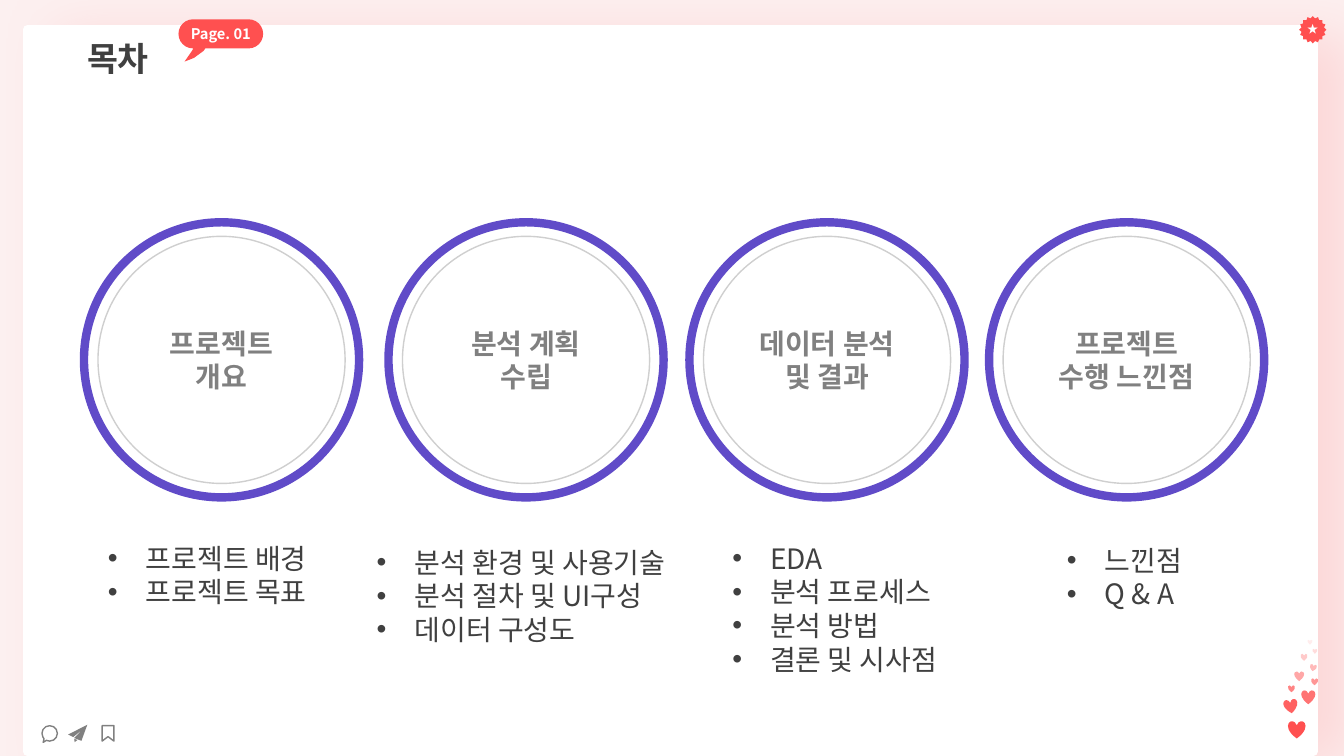
from lxml import etree
from pptx import Presentation
from pptx.dml import color
from pptx.enum import shapes, text
from pptx.oxml import ns
from pptx.util import Pt

RGB = color.RGBColor
BACK = RGB(0xFC, 0xF0, 0xF0)
WHITE = RGB(0xFF, 0xFF, 0xFF)
RED = RGB(0xFF, 0x50, 0x50)
PURPLE = RGB(0x60, 0x4B, 0xC8)
PALE = RGB(0xCF, 0xCF, 0xCF)
GREY = RGB(0x80, 0x80, 0x80)
DARK = RGB(0x40, 0x40, 0x40)
FONT = "Noto Sans CJK KR"
KIND = shapes.MSO_SHAPE
LEFT, MID = text.PP_ALIGN.LEFT, text.PP_ALIGN.CENTER

# Ring left edge, heading lines, list left and top, list width, list items
PARTS = [
    (60, ["프로젝트", "개요"], 70, 383, 170,
     ["프로젝트 배경", "프로젝트 목표"]),
    (277.5, ["분석 계획", "수립"], 262, 386, 245,
     ["분석 환경 및 사용기술", "분석 절차 및 UI구성", "데이터 구성도"]),
    (492.5, ["데이터 분석 및 결과"], 516, 383, 177,
     ["EDA", "분석 프로세스", "분석 방법", "결론 및 시사점"]),
    (706.5, ["프로젝트", "수행 느낀점"], 755, 384.5, 102,
     ["느낀점", "Q & A"]),
]

# Left, top, size, turn; each heart is 10 % fainter than the one before
HEARTS = [
    (40, 800 / 10 - 22, 12.5, 0), (37, 42.5, 10, -8.7), (49.5, 36, 10, 0),
    (40, 32.5, 5, 0), (56.5, 27.5, 5, 0), (44.5, 22.5, 7, 0),
    (55.5, 17.5, 5, 11.5), (49, 10, 5, 0), (57.5, 6.5, 3.5, 0),
    (54, 0, 3.5, 0),
]


def paint(shape, fill=None, line=None, width=1):
    shape.shadow.inherit = False
    if fill is None:
        shape.fill.background()
    else:
        shape.fill.solid()
        shape.fill.fore_color.rgb = fill
    if line is None:
        shape.line.fill.background()
    else:
        shape.line.color.rgb = line
        shape.line.width = Pt(width)
    return shape


def put(slide, kind, box, fill=None, line=None, width=1):
    shape = slide.shapes.add_shape(kind, *map(Pt, box))
    return paint(shape, fill, line, width)


def trace(slide, x, y, points, fill=None, line=None):
    spots = [(Pt(x + dx), Pt(y + dy)) for dx, dy in points]
    form = slide.shapes.build_freeform(*spots[0], scale=1.0)
    form.add_line_segments(spots[1:], close=True)
    return paint(form.convert_to_shape(), fill, line)


def write(frame, lines, size, ink, bold=False, align=MID, wrap=True):
    frame.word_wrap = wrap
    frame.auto_size = text.MSO_AUTO_SIZE.NONE
    for i, line in enumerate(lines):
        para = frame.add_paragraph() if i else frame.paragraphs[0]
        para.alignment = align
        run = para.add_run()
        run.text = line
        font = run.font
        font.size, font.bold, font.name = Pt(size), bold, FONT
        font.color.rgb = ink
        etree.SubElement(run._r.get_or_add_rPr(), ns.qn("a:ea"), typeface=FONT)


def cast(shape):
    glow = etree.SubElement(
        shape.element.spPr.find(ns.qn("a:effectLst")), ns.qn("a:outerShdw"),
        blurRad=str(Pt(40)), dist=str(Pt(24)), dir=str(15 * 60000),
        algn="ctr", rotWithShape="0")
    tint = etree.SubElement(glow, ns.qn("a:srgbClr"), val="FFBBBC")
    etree.SubElement(tint, ns.qn("a:alpha"), val="45000")


def fade(shape, part):
    tint = shape.element.spPr.find(ns.qn("a:solidFill"))[0]
    etree.SubElement(tint, ns.qn("a:alpha"), val=str(part * 1000))


def add_card(slide, x, y, w, h):
    # White sheet with a soft pink shadow
    cast(put(slide, KIND.RECTANGLE, (x, y, w, h), WHITE, WHITE, 6.25))
    put(slide, KIND.RECTANGLE, (x, y + 38, w, h - 64), WHITE, WHITE, 6.25)
    # Title
    title = slide.shapes.title
    title.left, title.top, title.width, title.height = map(
        Pt, (x + 35.5, y, 100, 50))
    frame = title.text_frame
    frame.vertical_anchor = text.MSO_ANCHOR.TOP
    frame.margin_left = frame.margin_right = Pt(7.2)
    frame.margin_top, frame.margin_bottom = Pt(5.8), Pt(3.6)
    write(frame, ["목차"], 24, DARK, True, LEFT)
    slide.shapes.element.append(title.element)


def add_star(slide, x, y, size):
    # Corner badge
    badge = put(slide, KIND.STAR_16_POINT, (x, y, size, size), RED)
    badge.adjustments[0] = 0.42
    frame = badge.text_frame
    frame.margin_top, frame.margin_bottom = Pt(3.6), Pt(4.3)
    frame.vertical_anchor = text.MSO_ANCHOR.MIDDLE
    write(frame, ["★"], 8, WHITE, True, wrap=False)


def add_icons(slide, x, y):
    # Speech bubble
    bubble = put(slide, KIND.OVAL_CALLOUT, (x, y + 0.7, 11, 11), line=GREY)
    bubble.adjustments[0], bubble.adjustments[1] = -0.42, 0.58
    # Paper plane
    trace(slide, x + 18.7, y, [(0, 7), (13.7, 0), (9.5, 11.5), (4.3, 9.5),
                               (10.8, 3), (3.6, 8.8)], GREY)
    trace(slide, x + 23, y + 10, [(0, 0), (2.3, 0.9), (0.3, 2.4)], GREY)
    # Bookmark
    trace(slide, x + 43, y, [(0, 11.7), (0, 0.6), (8.4, 0.6), (8.4, 11.7),
                             (4.2, 8.5)], line=GREY)


def add_hearts(slide, x, y):
    for i, (dx, dy, size, turn) in enumerate(HEARTS):
        heart = put(slide, KIND.HEART, (x + dx, y + dy, size, size), RED)
        heart.rotation = turn
        fade(heart, 100 - 10 * i)


def add_tag(slide, x, y, w, h):
    # Tail, then the pill over it
    trace(slide, x, y, [(24.5, 11.5), (12.2, 11.5), (12, 16), (10, 22),
                        (4.3, 30.2), (11, 27.6), (18, 22.5), (23, 14.5)], RED)
    pill = put(slide, KIND.ROUNDED_RECTANGLE, (x, y, w, h), RED)
    pill.adjustments[0] = 0.5
    pill.text_frame.vertical_anchor = text.MSO_ANCHOR.MIDDLE
    write(pill.text_frame, ["Page. 01"], 10.5, WHITE, True, wrap=False)


def add_ring(slide, x, y, size, lines):
    put(slide, KIND.OVAL, (x, y, size, size), line=PURPLE, width=6)
    gap = 10
    disc = put(slide, KIND.OVAL,
               (x + gap, y + gap, size - 2 * gap, size - 2 * gap), line=PALE)
    disc.text_frame.vertical_anchor = text.MSO_ANCHOR.MIDDLE
    write(disc.text_frame, lines, 20, GREY, True)


def add_list(slide, x, y, w, items):
    box = slide.shapes.add_textbox(*map(Pt, (x, y, w, 24 * len(items) + 7.2)))
    write(box.text_frame, items, 20, DARK, align=LEFT)
    for para in box.text_frame.paragraphs:
        props = para._p.get_or_add_pPr()
        props.set("marL", str(Pt(27)))
        props.set("indent", str(-Pt(27)))
        etree.SubElement(props, ns.qn("a:buFont"), typeface="Arial")
        etree.SubElement(props, ns.qn("a:buChar"), char="•")


def main():
    deck = Presentation()
    deck.slide_width, deck.slide_height = Pt(960), Pt(540)
    slide = deck.slides.add_slide(deck.slide_layouts[5])
    slide.background.fill.solid()
    slide.background.fill.fore_color.rgb = BACK
    add_card(slide, 19.5, 21, 918.5, 516)
    add_star(slide, 928, 11.5, 19.5)
    add_icons(slide, 30, 517.7)
    add_hearts(slide, 880, 457)
    add_tag(slide, 127.5, 13.8, 60.5, 20.8)
    for left, lines, x, y, w, items in PARTS:
        add_ring(slide, left, 158.8, 196.5, lines)
        add_list(slide, x, y, w, items)
    deck.save("out.pptx")


if __name__ == "__main__":
    main()
